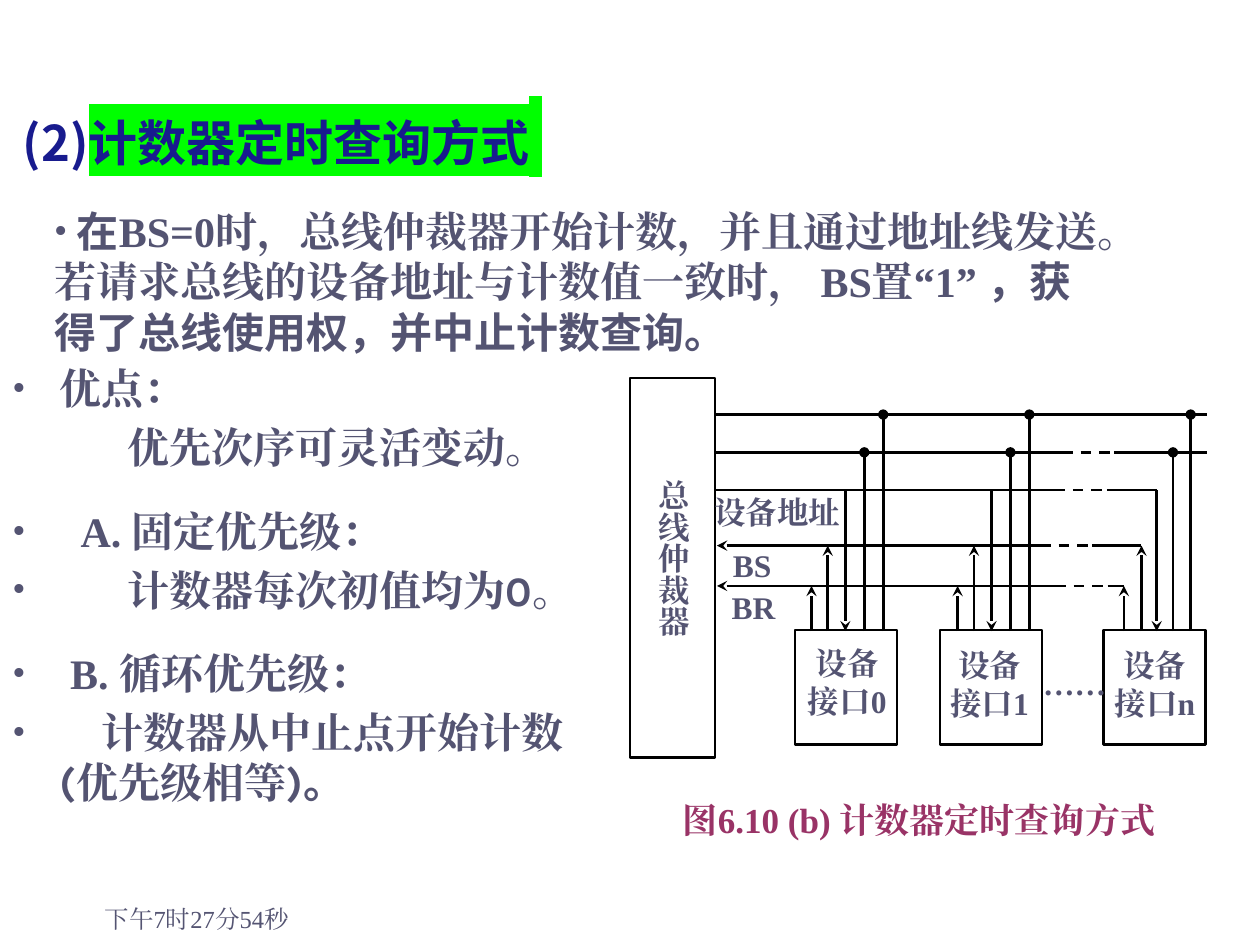
import pptx
import pptx.util
import pptx.dml.color
import pptx.enum.dml
import pptx.enum.shapes
import pptx.enum.text
from lxml import etree

Pt = pptx.util.Pt
RGB = pptx.dml.color.RGBColor.from_string
ALIGN = pptx.enum.text.PP_ALIGN
ANCHOR = pptx.enum.text.MSO_ANCHOR

THEME = {
    "title": "181B8E", "text": "545472", "caption": "993366",
    "line": "000000", "fill": "FFFFFF", "highlight": "00FF00",
    "serif": "Times New Roman", "sans": "Noto Sans CJK SC", "digits": "Karla",
    "title_size": 28, "title_end_size": 32, "body_size": 24,
    "label_size": 18, "caption_size": 20, "clock_size": 14,
    "line_width": 1.5, "line_spacing": 1.2,
}
SERIF, SANS, DIGITS = THEME["serif"], THEME["sans"], THEME["digits"]

# ---- Content (all lengths in points) ----
TITLE = [("(2)", THEME["title_size"], False),
         ("计数器定时查询方式", THEME["title_size"], True),
         (" ", THEME["title_end_size"], True)]

INTRO = [(" 在", SANS),
         ("BS=0时，总线仲裁器开始计数，并且通过地址线发送。"
          "若请求总线的设备地址与计数值一致时， BS置“1” ", SERIF),
         ("，获得了总线使用权，并中止计数查询。", SANS)]

# runs, left margin, hanging indent, space before, bullet
POINTS = [
    ([("优点：", SERIF)], 27, 27, 0, True),
    ([("优先次序可灵活变动。", SERIF)], 66, 0, 4.8, False),
    ([("A. 固定优先级：", SERIF)], 39, 39, 19, True),
    ([("计数器每次初值均为", SERIF), ("0", DIGITS), ("。", SERIF)], 66, 66, 4.8, True),
    ([("B. 循环优先级：", SERIF)], 33, 33, 19, True),
    ([("　计数器从中止点开始计数", SERIF), ("(", DIGITS),
      ("优先级相等", SERIF), (")。", DIGITS)], 27, 27, 4.8, True),
]

ARBITER = (360, 216, 48.5, 216.7)
ADDRESS_Y, DATA_Y, DEVICE_ADDRESS_Y, BS_Y, BR_Y = 236.9, 258.5, 280.1, 311.8, 334.8

# y, x stops (solid, dashed, solid between them), arrow towards the arbiter
BUSES = [
    (ADDRESS_Y, (409, 689.8), False),
    (DATA_Y, (409, 607, 636.5, 689.8), False),
    (DEVICE_ADDRESS_Y, (409, 602.6, 632.5, 661), False),
    (BS_Y, (409.7, 594.5, 624, 652.3), True),
    (BR_Y, (409.7, 603, 632.9, 642.2), True),
]

DEVICE_TOP, DEVICE_WIDTH, DEVICE_HEIGHT = 360, 58.3, 65.5
# name, box left, label box, x of the taps in the order of TAPS
DEVICES = [
    ("接口0", 454.3, (450, 368, 68.4, 52), (463.7, 473, 483.1, 493.9, 504.7)),
    ("接口1", 537.1, (530.6, 369.4, 69.8, 50.4), (547.2, 556.6, 566.6, 577.4, 588.2)),
    ("接口n", 630.7, (630, 369.4, 59.8, 50.4), (642.2, 652.3, 661, 670.3, 680.4)),
]
# bus y, end mark, whether the signal runs down to the device
TAPS = [(BR_Y, "stealth", False), (BS_Y, "stealth", False),
        (DEVICE_ADDRESS_Y, "stealth", True),
        (DATA_Y, "oval", False), (ADDRESS_Y, "oval", False)]

LABELS = [("BS", (413.3, 311.8, 33.1, 27.4)),
          ("BR", (414, 336.2, 33.1, 27.4)),
          ("设备地址", (396.7, 281.5, 95, 24.5)),
          ("……", (595.4, 379.4, 37.4, 28))]
ARBITER_LABEL = ("总线仲裁器", (374.4, 274.3, 20.9, 121))
CAPTION = ("图6.10 (b) 计数器定时查询方式", (390.2, 456.5, 290.9, 29.5))
CLOCK = ("下午7时27分54秒", (52.6, 501.1, 149.8, 36))


# ---- Helpers ----
def place(box):
    return [Pt(length) for length in box]


def set_typeface(run, face):
    run.font.name = face
    latin = run.font._element.find(pptx.oxml.ns.qn("a:latin"))
    east_asian = etree.Element(pptx.oxml.ns.qn("a:ea"), typeface=face)
    latin.addnext(east_asian)


def style(paragraph, size, color, bold=True):
    paragraph.font.size = Pt(size)
    paragraph.font.bold = bold
    paragraph.font.color.rgb = RGB(color)


def add_runs(paragraph, runs):
    for text, face in runs:
        run = paragraph.add_run()
        run.text = text
        set_typeface(run, face)


def set_bullet(paragraph, margin, hanging, shown):
    properties = paragraph._p.get_or_add_pPr()
    properties.set("marL", str(Pt(margin)))
    properties.set("indent", str(-Pt(hanging)))
    if shown:
        etree.SubElement(properties, pptx.oxml.ns.qn("a:buSzPct"), val="90000")
        etree.SubElement(properties, pptx.oxml.ns.qn("a:buFont"), typeface=SERIF)
        etree.SubElement(properties, pptx.oxml.ns.qn("a:buChar"), char="•")


def add_text_frame(slide, box, margins=True):
    frame = slide.shapes.add_textbox(*place(box)).text_frame
    frame.word_wrap = True
    if not margins:
        frame.margin_left = frame.margin_right = 0
        frame.margin_top = frame.margin_bottom = 0
    return frame


def add_label(slide, lines, box, size=THEME["label_size"], color=THEME["text"],
              align=ALIGN.CENTER):
    frame = add_text_frame(slide, box, margins=False)
    for index, line in enumerate(lines):
        paragraph = frame.add_paragraph() if index else frame.paragraphs[0]
        paragraph.alignment = align
        if len(lines) > 1:
            paragraph.line_spacing = Pt(size * THEME["line_spacing"])
        style(paragraph, size, color)
        add_runs(paragraph, [(line, SERIF)])
    return frame


def add_block(slide, box):
    block = slide.shapes.add_shape(pptx.enum.shapes.MSO_SHAPE.RECTANGLE, *place(box))
    block.shadow.inherit = False
    block.fill.solid()
    block.fill.fore_color.rgb = RGB(THEME["fill"])
    block.line.color.rgb = RGB(THEME["line"])
    block.line.width = Pt(THEME["line_width"])


def add_wire(slide, start, end, head=None, tail=None, dashed=False):
    wire = slide.shapes.add_connector(
        pptx.enum.shapes.MSO_CONNECTOR.STRAIGHT, *place(start + end))
    wire.line.color.rgb = RGB(THEME["line"])
    wire.line.width = Pt(THEME["line_width"])
    if dashed:
        wire.line.dash_style = pptx.enum.dml.MSO_LINE.DASH
    for tag, mark in (("a:headEnd", head), ("a:tailEnd", tail)):
        if mark:
            etree.SubElement(wire.line._get_or_add_ln(), pptx.oxml.ns.qn(tag),
                             type=mark, w="med", len="med")
    etree.SubElement(wire._element.spPr, pptx.oxml.ns.qn("a:effectLst"))


# ---- Slide parts ----
def add_title(slide):
    title = slide.shapes.title
    title.left, title.top, title.width, title.height = place((5.8, 54.7, 354.2, 47.5))
    title.text_frame.vertical_anchor = ANCHOR.BOTTOM
    paragraph = title.text_frame.paragraphs[0]
    paragraph.alignment = ALIGN.LEFT
    style(paragraph, THEME["title_size"], THEME["title"])
    for text, size, highlighted in TITLE:
        run = paragraph.add_run()
        run.text = text
        run.font.size = Pt(size)
        set_typeface(run, SANS)
        if highlighted:
            highlight = etree.Element(pptx.oxml.ns.qn("a:highlight"))
            etree.SubElement(highlight, pptx.oxml.ns.qn("a:srgbClr"),
                             val=THEME["highlight"])
            run.font._element.find(pptx.oxml.ns.qn("a:latin")).addprevious(highlight)


def add_body(slide):
    intro = add_text_frame(slide, (23.8, 113.8, 616, 93.6))
    points = add_text_frame(slide, (0, 203.8, 347.8, 257.8))
    rows = [(intro, (INTRO, 0, 0, 0, True))] + [(points, point) for point in POINTS]
    for frame, (runs, margin, hanging, before, bullet) in rows:
        paragraph = frame.paragraphs[0]
        if paragraph.runs:
            paragraph = frame.add_paragraph()
        paragraph.space_before = Pt(before)
        paragraph.line_spacing = Pt(THEME["body_size"] * THEME["line_spacing"])
        set_bullet(paragraph, margin, hanging, bullet)
        style(paragraph, THEME["body_size"], THEME["text"])
        add_runs(paragraph, runs)


def add_diagram(slide):
    add_block(slide, ARBITER)
    for y, stops, arrow in BUSES:
        for part, (left, right) in enumerate(zip(stops, stops[1:])):
            add_wire(slide, (left, y), (right, y), dashed=part == 1,
                     head="stealth" if arrow and part == 0 else None)
    for name, left, label_box, tap_xs in DEVICES:
        add_block(slide, (left, DEVICE_TOP, DEVICE_WIDTH, DEVICE_HEIGHT))
        add_label(slide, ["设备", name], label_box)
        for x, (y, mark, downward) in zip(tap_xs, TAPS):
            ends = [(x, DEVICE_TOP + 0.7), (x, y)]
            start, end = reversed(ends) if downward else ends
            add_wire(slide, start, end, tail=mark)
    for text, box in LABELS:
        add_label(slide, [text], box)
    arbiter = add_label(slide, [ARBITER_LABEL[0]], ARBITER_LABEL[1], align=ALIGN.JUSTIFY)
    arbiter._bodyPr.set("vert", "eaVert")
    add_label(slide, [CAPTION[0]], CAPTION[1], THEME["caption_size"],
              THEME["caption"], ALIGN.JUSTIFY)


def add_clock(slide):
    clock = add_text_frame(slide, CLOCK[1])
    clock.vertical_anchor = ANCHOR.BOTTOM
    style(clock.paragraphs[0], THEME["clock_size"], THEME["text"], bold=False)
    add_runs(clock.paragraphs[0], [(CLOCK[0], SERIF)])


def main():
    deck = pptx.Presentation()
    deck.slide_width, deck.slide_height = Pt(720), Pt(540)
    slide = deck.slides.add_slide(deck.slide_layouts[5])
    add_title(slide)
    add_body(slide)
    add_diagram(slide)
    add_clock(slide)
    deck.save("out.pptx")


if __name__ == "__main__":
    main()
